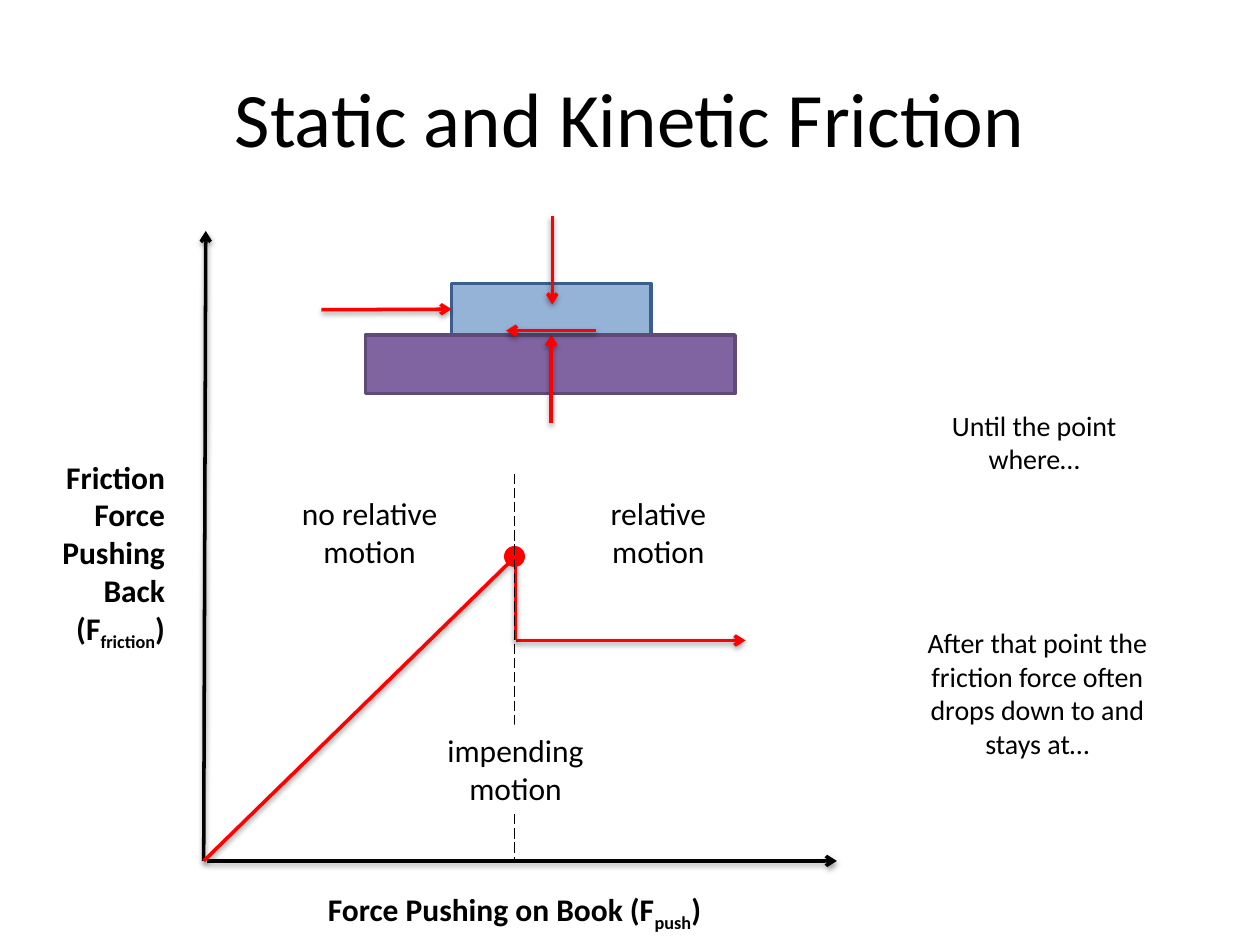
from lxml import etree
from pptx import Presentation
from pptx import util as u
from pptx.dml.color import RGBColor
from pptx.enum import dml, shapes, text
from pptx.oxml import parse_xml
from pptx.oxml.ns import nsdecls, qn

WIDE, HIGH = u.Inches(10), u.Inches(7.5)
COLS, ROWS = 120, 90
FONT = "Calibri"
BLACK = RGBColor(0, 0, 0)
WHITE = RGBColor(255, 255, 255)
RED = RGBColor(255, 0, 0)
BLUE = RGBColor(0x95, 0xB3, 0xD7)
NAVY = RGBColor(0x3A, 0x5F, 0x8C)
PURPLE = RGBColor(0x80, 0x64, 0xA2)
PLUM = RGBColor(0x5F, 0x4A, 0x78)
MID, RIGHT = text.PP_ALIGN.CENTER, text.PP_ALIGN.RIGHT
SHADE = f"""<a:effectLst {nsdecls('a')}>
<a:outerShdw blurRad="40000" dist="20000" dir="5400000" rotWithShape="0">
<a:srgbClr val="000000"><a:alpha val="38000"/></a:srgbClr></a:outerShdw>
</a:effectLst>"""
BARE = f"<a:effectLst {nsdecls('a')}/>"


def spot(col, row):
    """Turn a grid column and row into slide lengths."""
    return round(WIDE * col / COLS), round(HIGH * row / ROWS)


def label(slide, at, paras, size, align=MID, bold=False):
    """Add text; each paragraph lists (words, is subscript) runs."""
    box = slide.shapes.add_textbox(*spot(*at[:2]), *spot(*at[2:]))
    frame = box.text_frame
    frame.word_wrap = True
    frame.auto_size = text.MSO_AUTO_SIZE.SHAPE_TO_FIT_TEXT
    for i, runs in enumerate(paras):
        para = frame.add_paragraph() if i else frame.paragraphs[0]
        para.alignment = align
        for words, sub in runs:
            run = para.add_run()
            run.text = words
            font = run.font
            font.name, font.size, font.bold = FONT, u.Pt(size), bold
            font.color.rgb = BLACK
            if sub:
                run._r.get_or_add_rPr().set("baseline", "-25000")
    return box


def block(slide, kind, at, fill, edge=None):
    shape = slide.shapes.add_shape(kind, *spot(*at[:2]), *spot(*at[2:]))
    shape.shadow.inherit = False
    shape.fill.solid()
    shape.fill.fore_color.rgb = fill
    if edge is None:
        shape.line.fill.background()
    else:
        shape.line.color.rgb = edge
        shape.line.width = u.Pt(2)
    return shape


def stroke(slide, start, end, color=RED, head=True, width=2, shade=True):
    line = slide.shapes.add_connector(
        shapes.MSO_CONNECTOR.STRAIGHT, *spot(*start), *spot(*end))
    line.line.color.rgb = color
    line.line.width = u.Pt(width)
    if head:
        etree.SubElement(line.line._get_or_add_ln(), qn("a:tailEnd"),
                         type="arrow")
    line._element.spPr.append(parse_xml(SHADE if shade else BARE))
    return line


def axes(slide):
    stroke(slide, (19.7, 82), (79.7, 82), BLACK)
    label(slide, (17, 84.2, 64, 4.8),
          [[("Force Pushing on Book (F", False), ("push", True), (")", False)]],
          18, bold=True)
    stroke(slide, (19.4, 82), (19.6, 22), BLACK)
    label(slide, (0.1, 43, 16.8, 19.4),
          [[("Friction Force Pushing Back", False)],
           [("(F", False), ("friction", True), (")", False)]],
          18, RIGHT, True)


def curve(slide):
    peak, drop = (49.1, 53), (49.1, 61)
    stroke(slide, drop, (71, 61))
    stroke(slide, (19.4, 82), peak, head=False)
    stroke(slide, drop, peak, head=False)
    block(slide, shapes.MSO_SHAPE.OVAL, (48, 52, 2, 2), RED)


def book(slide):
    """Draw the book on its table with the four forces."""
    rect = shapes.MSO_SHAPE.RECTANGLE
    top = block(slide, rect, (43, 27, 19, 4.9), BLUE, NAVY)
    push = stroke(slide, (30.6, 29.5), (43, 29.5))
    push.end_connect(top, 1)
    block(slide, rect, (34.8, 31.9, 35.2, 5.6), PURPLE, PLUM)
    lift = stroke(slide, (52.5, 40.3), (52.5, 31.9))
    lift.end_connect(top, 2)
    stroke(slide, (56.8, 31.5), (48.2, 31.5))


def zones(slide):
    split = stroke(slide, (49, 45.1), (49, 82), BLACK, False, 0.75, False)
    split.line.dash_style = dml.MSO_LINE.LONG_DASH
    for col, row, words in ((26.5, 46.5, "no relative motion"),
                            (54, 46.5, "relative motion"),
                            (40.4, 69, "impending motion")):
        box = label(slide, (col, row, 17.4, 8.5), [[(words, False)]], 18)
    box.fill.solid()
    box.fill.fore_color.rgb = WHITE


def main():
    deck = Presentation()
    deck.slide_width, deck.slide_height = WIDE, HIGH
    slide = deck.slides.add_slide(deck.slide_layouts[6])
    title = label(slide, (6, 3.6, 108, 15),
                  [[("Static and Kinetic Friction", False)]], 44)
    title.text_frame.auto_size = text.MSO_AUTO_SIZE.NONE
    title.text_frame.vertical_anchor = text.MSO_ANCHOR.MIDDLE
    axes(slide)
    curve(slide)
    label(slide, (86, 38.3, 25, 7.7), [[("Until the point where…", False)]], 16)
    label(slide, (86.3, 59, 25, 14.2),
          [[("After that point the friction force often drops down to "
             "and stays at…", False)]], 16)
    book(slide)
    zones(slide)
    stroke(slide, (52.6, 20.6), (52.6, 29))
    deck.save("out.pptx")


if __name__ == "__main__":
    main()
